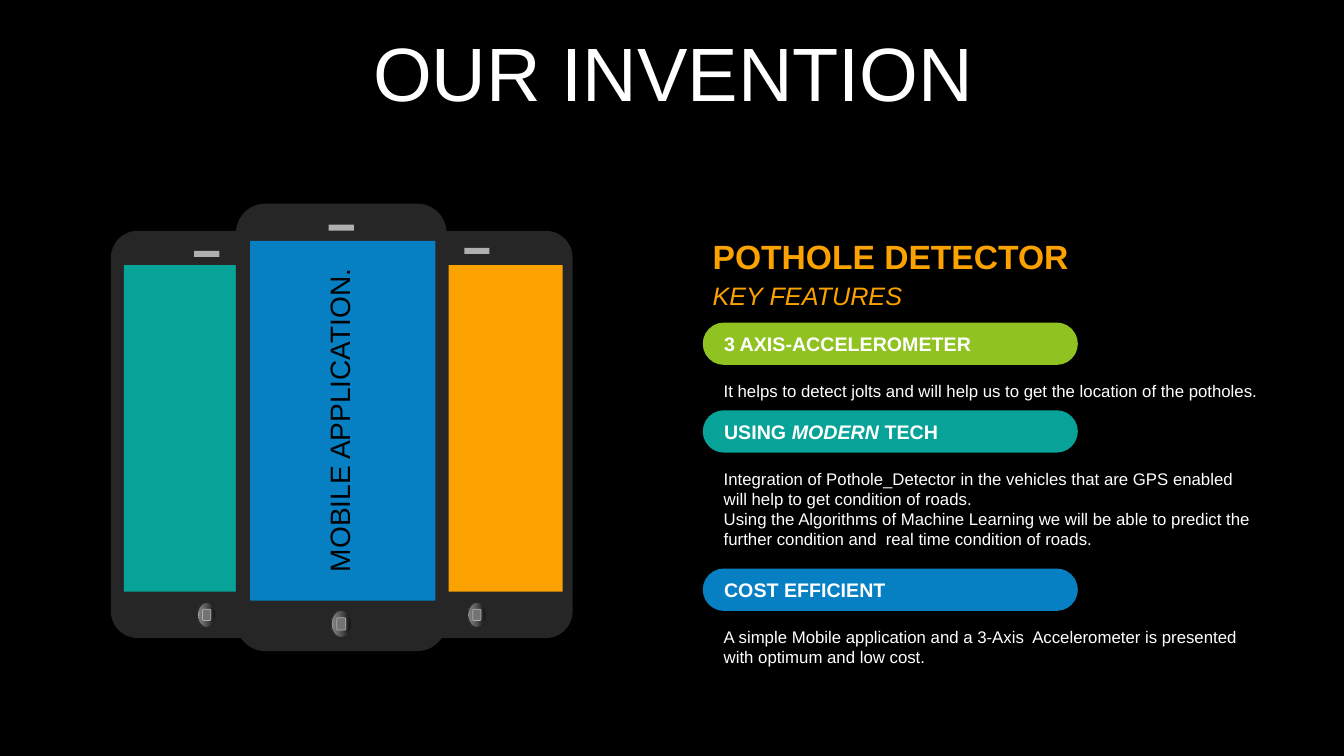
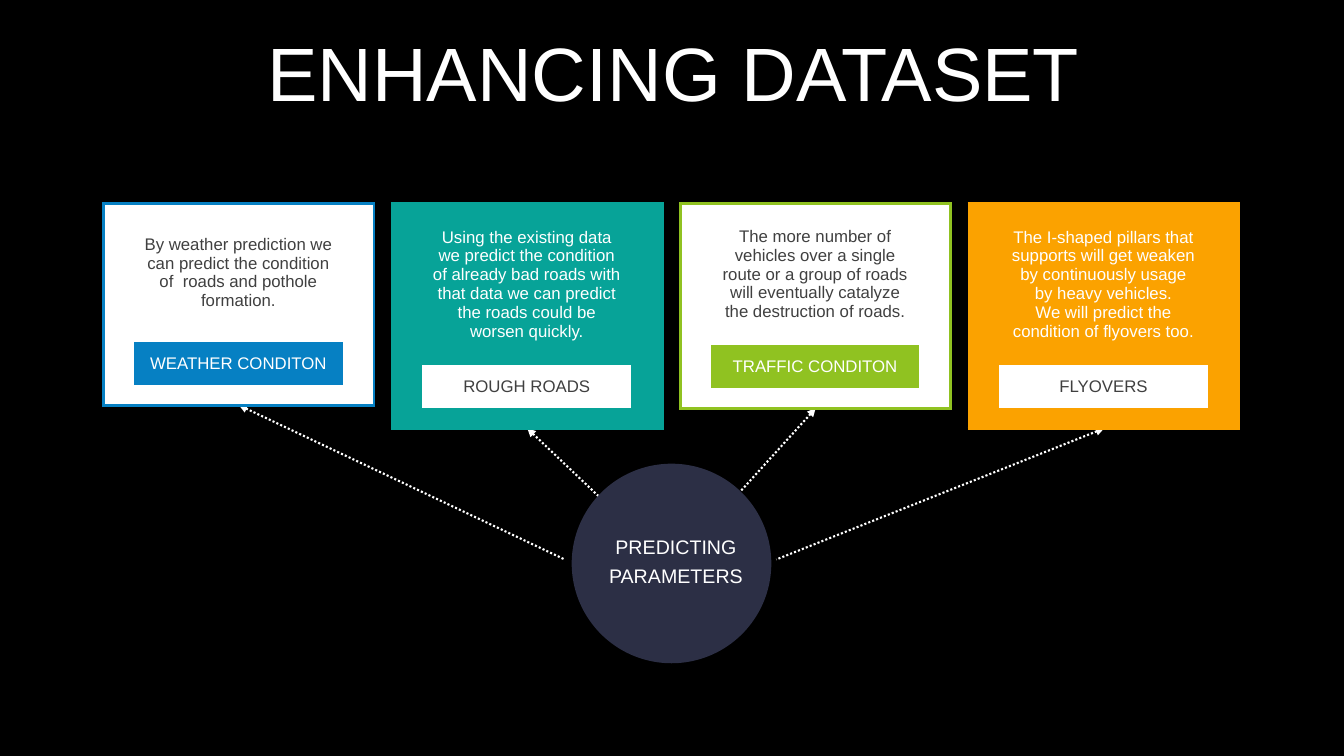
import dataclasses

import lxml.etree
import pptx
import pptx.dml.color
import pptx.enum.dml
import pptx.enum.shapes
import pptx.enum.text
import pptx.oxml.ns
import pptx.util

SHAPE = pptx.enum.shapes.MSO_SHAPE
ALIGN = pptx.enum.text.PP_ALIGN
MIDDLE = pptx.enum.text.MSO_ANCHOR.MIDDLE
TOP = pptx.enum.text.MSO_ANCHOR.TOP
PLAIN_GRID = "{2D5ABB26-0587-4C30-8999-92F81FD0307C}"


@dataclasses.dataclass(frozen=True)
class Theme:
    font: str = "Arial"
    black: str = "000000"
    white: str = "FFFFFF"
    ink: str = "404040"
    green: str = "90C221"
    teal: str = "07A398"
    blue: str = "0680C3"
    gold: str = "FBA200"
    navy: str = "2C2F45"
    case: str = "262626"
    key: str = "737373"
    silver: str = "B0B0B0"
    title: int = 54
    head: int = 24
    large: int = 20
    sub: int = 18
    label: int = 14
    body: int = 12


T = Theme()

# Lengths are px, 100 to the inch.
SIZE = (1333, 750)
TITLE_BOX = (35, 37, 1266, 79)

# Pill top, colour, label, height of the text below, text
FEATURES = [
    (320, T.green, "3 AXIS-ACCELEROMETER", 30,
     "It helps to detect jolts and will help us to get the location of the potholes."),
    (407, T.teal, ["USING ", ("MODERN", {"italic": True}), " TECH"], 91,
     "Integration of Pothole_Detector in the vehicles that are GPS enabled "
     "will help to get condition of roads.\n"
     "Using the Algorithms of Machine Learning we will be able to predict the "
     "further condition and  real time condition of roads."),
    (564, T.blue, "COST EFFICIENT", 50,
     "A simple Mobile application and a 3-Axis  Accelerometer is presented "
     "with optimum and low cost."),
]

# Case box, screen box, screen colour, speaker top, button middle, button size
PHONES = [
    ((378, 229, 190, 404), (445, 263, 113, 324), T.gold, 246, 610, (18, 25)),
    ((110, 229, 190, 404), (123, 263, 113, 324), T.teal, 249, 610, (18, 25)),
    ((234, 202, 209, 444), (248, 239, 184, 357), T.blue, 223, 619, (20, 27)),
]
SHINE = [(0, "0F0F0F"), (56, "595959"), (91, "808080"), (100, "BFBFBF")]

# Edge colour, filled or not, height of the text row, text, label
CARDS = [
    (T.blue, False, 97, "By weather prediction we can predict the condition "
     "of  roads and pothole formation.", "WEATHER CONDITON"),
    (T.teal, True, 112, "Using the existing data we predict the condition of already "
     "bad roads with that data we can predict the roads could be worsen quickly.",
     "ROUGH ROADS"),
    (T.green, False, 97, "The more number of vehicles over a single route or a group "
     "of roads will eventually catalyze the destruction of roads.", "TRAFFIC CONDITON"),
    (T.gold, True, 112, "The I-shaped pillars that supports will get weaken by "
     "continuously usage by heavy vehicles.\n"
     "We will predict the condition of flyovers too.", "FLYOVERS"),
]
CARD_LEFT, CARD_TOP, CARD_STEP = 103, 202, 286
COLS = (30, 207, 31)
ARROWS = [
    ((523, 425), (667, 562)),
    ((237, 402), (560, 555)),
    ((809, 405), (667, 562)),
    ((1095, 425), (770, 555)),
]


def px(*vals):
    return [pptx.util.Emu(round(v * 9144)) for v in vals]


def tint(name):
    return pptx.dml.color.RGBColor.from_string(name)


def node(base, tag, **attrs):
    return lxml.etree.SubElement(base, pptx.oxml.ns.qn(tag), **attrs)


def write(frame, text, size=T.body, color=T.white, align=ALIGN.LEFT,
          bold=False, italic=False, gap=0, pitch=None):
    """Fill a frame; text is a string (one paragraph a line) or a list of runs."""
    frame.word_wrap = True
    rows = [[line] for line in text.split("\n")] if isinstance(text, str) else [text]
    for n, row in enumerate(rows):
        para = frame.add_paragraph() if n else frame.paragraphs[0]
        para.alignment = align
        para.space_before = pptx.util.Pt(gap)
        if pitch:
            para.line_spacing = pitch
        for part in row:
            words, extra = (part, {}) if isinstance(part, str) else part
            run = para.add_run()
            run.text = words
            font = run.font
            font.name, font.size = T.font, pptx.util.Pt(size)
            font.color.rgb = tint(color)
            font.bold = bold
            font.italic = extra.get("italic", italic)


def note(slide, box, text, anchor=TOP, turn=0, **style):
    item = slide.shapes.add_textbox(*px(*box))
    item.rotation = turn
    item.text_frame.vertical_anchor = anchor
    write(item.text_frame, text, **style)


def block(slide, kind, box, fill, edge=None, width=0, bend=None):
    item = slide.shapes.add_shape(kind, *px(*box))
    item.shadow.inherit = False
    if bend is not None:
        item.adjustments[0] = bend
    if fill:
        item.fill.solid()
        item.fill.fore_color.rgb = tint(fill)
    if edge:
        item.line.color.rgb = tint(edge)
        item.line.width = pptx.util.Pt(width)
    else:
        item.line.fill.background()
    return item


def shine(item):
    item.fill.gradient()
    item.fill.gradient_angle = 180
    stops = item._element.spPr.find(".//" + pptx.oxml.ns.qn("a:gsLst"))
    for old in list(stops):
        stops.remove(old)
    for spot, color in SHINE:
        node(node(stops, "a:gs", pos=str(spot * 1000)), "a:srgbClr", val=color)


def phone(slide, case, screen, color, slot, home, size):
    mid = case[0] + case[2] / 2

    def around(wide, high):
        return mid - wide / 2, home - high / 2, wide, high

    block(slide, SHAPE.ROUNDED_RECTANGLE, case, T.case, bend=0.14)
    block(slide, SHAPE.RECTANGLE, (mid - 12.5, slot, 25, 6), T.silver)
    shine(block(slide, SHAPE.OVAL, around(*size), None, T.case))
    block(slide, SHAPE.ROUNDED_RECTANGLE, around(*(0.45 * s for s in size)),
          T.key, T.silver, 0.5)
    block(slide, SHAPE.RECTANGLE, screen, color)


def border(cell, sides, color):
    props = cell._tc.get_or_add_tcPr()
    for side in sides:
        line = node(props, "a:ln" + side, w=str(pptx.util.Pt(2.25)))
        node(node(line, "a:solidFill"), "a:srgbClr", val=color)


def card(slide, left, edge, filled, tall, text, label):
    """A table of 3 by 5 cells: a framed margin around a text and a label."""
    rows = (20, tall, 20, 43, 20)
    back, front = (edge, T.white) if filled else (T.white, edge)
    ink, tag = (T.white, T.ink) if filled else (T.ink, T.white)
    words = {(1, 1): (text, ink, back), (3, 1): (label, tag, front)}
    grid = slide.shapes.add_table(len(rows), len(COLS),
                                  *px(left, CARD_TOP, sum(COLS), sum(rows))).table
    grid.first_row = grid.horz_banding = False
    props = grid._tbl.tblPr
    props.find(pptx.oxml.ns.qn("a:tableStyleId")).text = PLAIN_GRID
    for col, wide in zip(grid.columns, px(*COLS)):
        col.width = wide
    for r, high in enumerate(px(*rows)):
        grid.rows[r].height = high
        for c in range(len(COLS)):
            cell = grid.cell(r, c)
            cell.margin_top = cell.margin_bottom = 0
            cell.vertical_anchor = MIDDLE
            ends = {"L": c == 0, "R": c == len(COLS) - 1,
                    "T": r == 0, "B": r == len(rows) - 1}
            border(cell, [side for side, on in ends.items() if on], edge)
            said, color, fill = words.get((r, c), ("", ink, back))
            cell.fill.solid()
            cell.fill.fore_color.rgb = tint(fill)
            if said:
                write(cell.text_frame, said, color=color, align=ALIGN.CENTER)
            else:
                node(cell.text_frame.paragraphs[0]._p, "a:endParaRPr", sz="600")


def arrow(slide, tip, tail):
    item = slide.shapes.add_connector(pptx.enum.shapes.MSO_CONNECTOR.STRAIGHT,
                                      *px(*tip, *tail))
    item.line.color.rgb = tint(T.white)
    item.line.width = pptx.util.Pt(1.5)
    item.line.dash_style = pptx.enum.dml.MSO_LINE.ROUND_DOT
    node(item.line._get_or_add_ln(), "a:headEnd", type="triangle")
    node(item._element.spPr, "a:effectLst")


def start(deck, title):
    slide = deck.slides.add_slide(deck.slide_layouts[5])
    frame = slide.shapes.title.text_frame
    frame.auto_size = pptx.enum.text.MSO_AUTO_SIZE.NONE
    frame.vertical_anchor = MIDDLE
    write(frame, title, size=T.title, align=ALIGN.CENTER, gap=10, pitch=0.9)
    return slide


def invent(deck):
    slide = start(deck, "OUR INVENTION")
    for top, color, label, high, text in FEATURES:
        pill = block(slide, SHAPE.ROUNDED_RECTANGLE, (697, top, 372, 42), color, bend=0.5)
        frame = pill.text_frame
        frame.vertical_anchor = MIDDLE
        frame.margin_left, frame.margin_top, frame.margin_bottom = px(15, 0, 0)
        write(frame, label, size=T.label, bold=True)
        note(slide, (708, top + 53, 550, high), text)
    note(slide, (697, 273, 557, 40), "KEY FEATURES", size=T.sub, color=T.gold, italic=True)
    note(slide, (697, 229, 557, 50), "POTHOLE DETECTOR", size=T.head, color=T.gold, bold=True)
    for parts in PHONES:
        phone(slide, *parts)
    note(slide, (130, 395, 413, 44), "MOBILE APPLICATION.", turn=270,
         size=T.large, color=T.black, align=ALIGN.CENTER)


def enhance(deck):
    slide = start(deck, "ENHANCING DATASET")
    for ends in ARROWS:
        arrow(slide, *ends)
    block(slide, SHAPE.OVAL, (567, 460, 198, 198), T.navy)
    note(slide, (592, 497, 157, 119), "PREDICTING\nPARAMETERS", anchor=MIDDLE,
         size=T.label, align=ALIGN.CENTER, gap=4)
    for n, parts in enumerate(CARDS):
        card(slide, CARD_LEFT + n * CARD_STEP, *parts)


def main():
    deck = pptx.Presentation()
    deck.slide_width, deck.slide_height = px(*SIZE)
    back = deck.slide_master.background.fill
    back.solid()
    back.fore_color.rgb = tint(T.black)
    title = deck.slide_layouts[5].placeholders[0]
    title.left, title.top, title.width, title.height = px(*TITLE_BOX)
    invent(deck)
    enhance(deck)
    deck.save("out.pptx")


if __name__ == "__main__":
    main()
